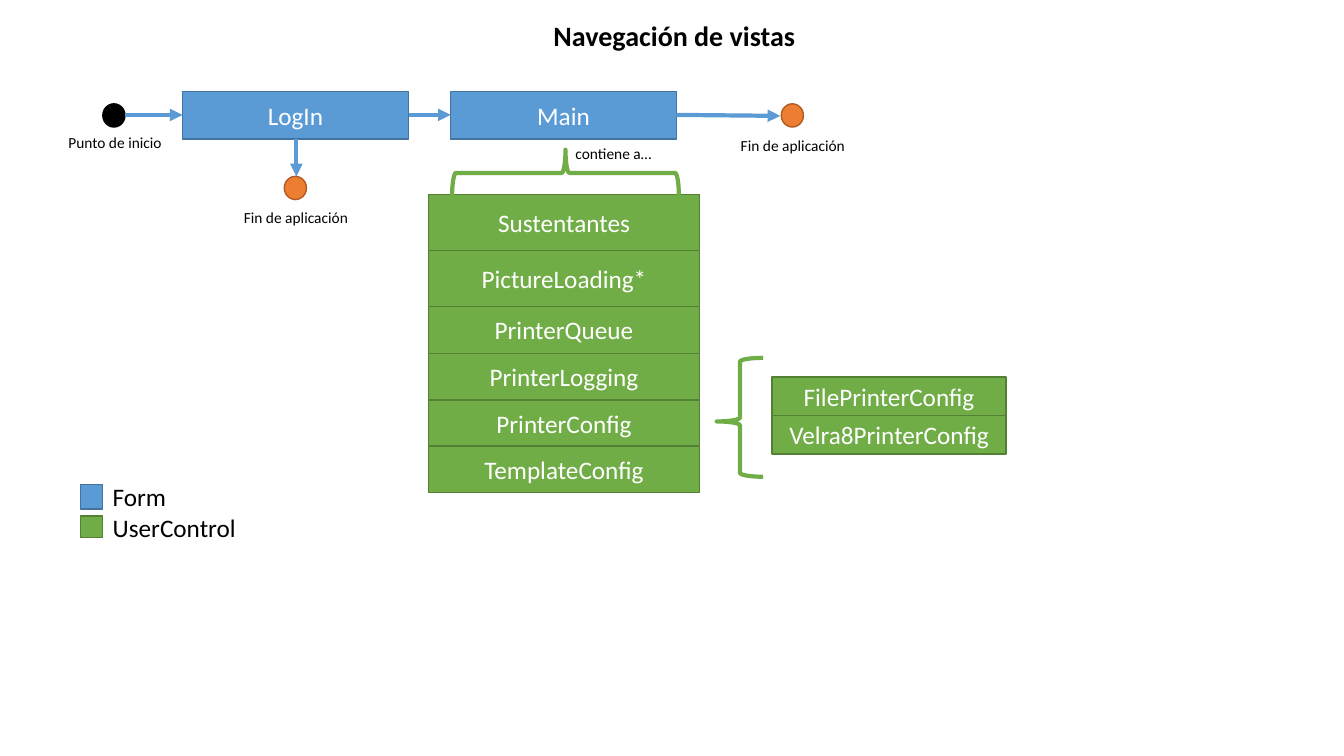
from lxml import etree
from pptx import Presentation
from pptx.dml.color import RGBColor
from pptx.enum.shapes import MSO_CONNECTOR, MSO_SHAPE
from pptx.enum.text import MSO_ANCHOR, MSO_AUTO_SIZE, PP_ALIGN
from pptx.oxml.ns import qn
from pptx.util import Inches, Pt

WIDE, HIGH = Inches(13.333), Inches(7.5)
RECT, OVAL, BRACE = MSO_SHAPE.RECTANGLE, MSO_SHAPE.OVAL, MSO_SHAPE.RIGHT_BRACE
LINE = MSO_CONNECTOR.STRAIGHT
MID, LOW = MSO_ANCHOR.MIDDLE, MSO_ANCHOR.BOTTOM
LEFT, MIDDLE = PP_ALIGN.LEFT, PP_ALIGN.CENTER
GROW = MSO_AUTO_SIZE.SHAPE_TO_FIT_TEXT

BLACK, WHITE = "000000", "FFFFFF"
BLUE, GREEN = "5B9BD5", "70AD47"
FORM, USER = (BLUE, "43739E"), (GREEN, "538035")
START, END = (BLACK, BLACK), ("ED7D31", "AF5C24")

VIEWS = [("Sustentantes", 7.4), ("PictureLoading*", 7.4), ("PrinterQueue", 6.2),
         ("PrinterLogging", 6.2), ("PrinterConfig", 6.1), ("TemplateConfig", 6.1)]
SETUPS = [("FilePrinterConfig", 5.1), ("Velra8PrinterConfig", 5.1)]
FORMS = [("LogIn", 13.58), ("Main", 33.53)]
DOTS = [(7.65, 13.73, START), (21.15, 23.33, END), (58.13, 13.73, END)]
ARROWS = [(9.3, 15.2, 13.58, 15.2), (30.45, 15.2, 33.53, 15.2),
          (50.33, 15.2, 58.05, 15.33), (22.05, 18.4, 22.05, 23.33)]
NOTES = [("contiene a…", 42.08, 18.4, 7.2), ("Punto de inicio", 4.35, 16.93, 8.48),
         ("Fin de aplicación", 17.4, 26.93, 9.3),
         ("Fin de aplicación", 54.38, 17.33, 9.3)]
BRACES = [((40.35, 7.87, 3.45, 30), 270, 0.5), ((53.33, 47.33, 3.45, 15.73), 180, 0.465)]
KEYS = [(64.13, 3.2, FORM), (68.27, 2.8, USER)]


def place(x, y, w, h):
    """Turn percentages of the slide into lengths."""
    return [int(part * side / 100) for part, side in zip((x, y, w, h), (WIDE, HIGH) * 2)]


def tint(code):
    """Turn a hex string into a colour."""
    return RGBColor.from_string(code)


def assign(item, **values):
    """Set each given value on the item."""
    for name, value in values.items():
        setattr(item, name, value)


def write(frame, lines, size=18, color=WHITE, align=MIDDLE, bold=False, gap=1.0):
    """Write one paragraph for each line of text."""
    for at, line in enumerate(lines):
        para = frame.add_paragraph() if at else frame.paragraphs[0]
        assign(para, alignment=align, line_spacing=gap)
        run = para.add_run()
        run.text = line
        assign(run.font, name="Calibri", size=Pt(size), bold=bold)
        run.font.color.rgb = tint(color)


def block(slide, kind, box, colors, text=""):
    """Draw a filled shape with an optional label."""
    shape = slide.shapes.add_shape(kind, *place(*box))
    fill, edge = colors
    shape.shadow.inherit = False
    shape.fill.solid()
    shape.fill.fore_color.rgb = tint(fill)
    shape.line.color.rgb = tint(edge)
    shape.line.width = Pt(1)
    if text:
        assign(shape.text_frame, vertical_anchor=MID, word_wrap=True)
        write(shape.text_frame, [text])


def stack(slide, items, x, y, w):
    """Pile up user controls from the top down."""
    for text, h in items:
        block(slide, RECT, (x, y, w, h), USER, text)
        y += h


def label(slide, lines, box, frame, **style):
    """Add free text with the given frame and font values."""
    text = slide.shapes.add_textbox(*place(*box)).text_frame
    assign(text, **frame)
    write(text, lines, color=BLACK, **style)


def brace(slide, box, turn, peak):
    """Draw a turned brace."""
    shape = slide.shapes.add_shape(BRACE, *place(*box))
    shape.shadow.inherit = False
    shape.fill.background()
    shape.rotation = turn
    shape.adjustments[1] = peak
    shape.line.color.rgb = tint(GREEN)
    shape.line.width = Pt(3)


def arrow(slide, ends):
    """Draw an arrow between two points."""
    link = slide.shapes.add_connector(LINE, *place(*ends))
    link.line.color.rgb = tint(BLUE)
    link.line.width = Pt(3)
    etree.SubElement(link.line._get_or_add_ln(), qn("a:tailEnd"), type="triangle")
    etree.SubElement(link._element.spPr, qn("a:effectLst"))


def main():
    """Build and save the view navigation slide."""
    deck = Presentation()
    assign(deck, slide_width=WIDE, slide_height=HIGH)
    slide = deck.slides.add_slide(deck.slide_layouts[6])
    loose = {"word_wrap": False, "auto_size": GROW}

    label(slide, ["Navegación de vistas"], (12.68, 2.27, 75, 5.33),
          {"word_wrap": True, "vertical_anchor": LOW}, size=20, bold=True, gap=0.9)
    for text, x in FORMS:
        block(slide, RECT, (x, 12.13, 16.8, 6.27), FORM, text)
    stack(slide, VIEWS, 31.88, 25.73, 20.18)
    stack(slide, SETUPS, 57.45, 49.87, 17.4)
    for x, y, colors in DOTS:
        block(slide, OVAL, (x, y, 1.65, 3.07), colors)
    for ends in ARROWS:
        arrow(slide, ends)
    for box, turn, peak in BRACES:
        brace(slide, box, turn, peak)
    for text, x, y, w in NOTES:
        label(slide, [text], (x, y, w, 3.87), loose, size=11, align=LEFT)
    for y, h, colors in KEYS:
        block(slide, RECT, (6, y, 1.65, h), colors)
    label(slide, ["Form", "UserControl"], (7.65, 63.07, 10.73, 9.47), loose, align=LEFT)
    deck.save("out.pptx")


main()
